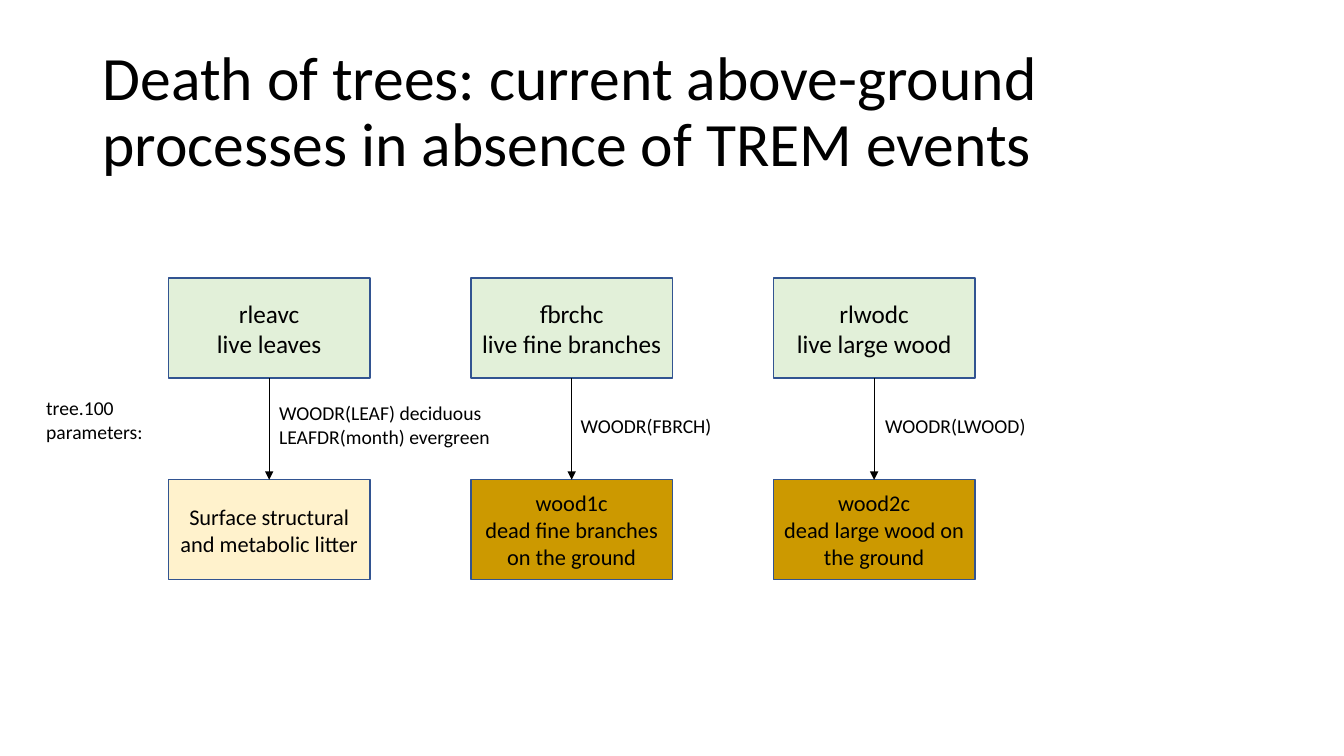
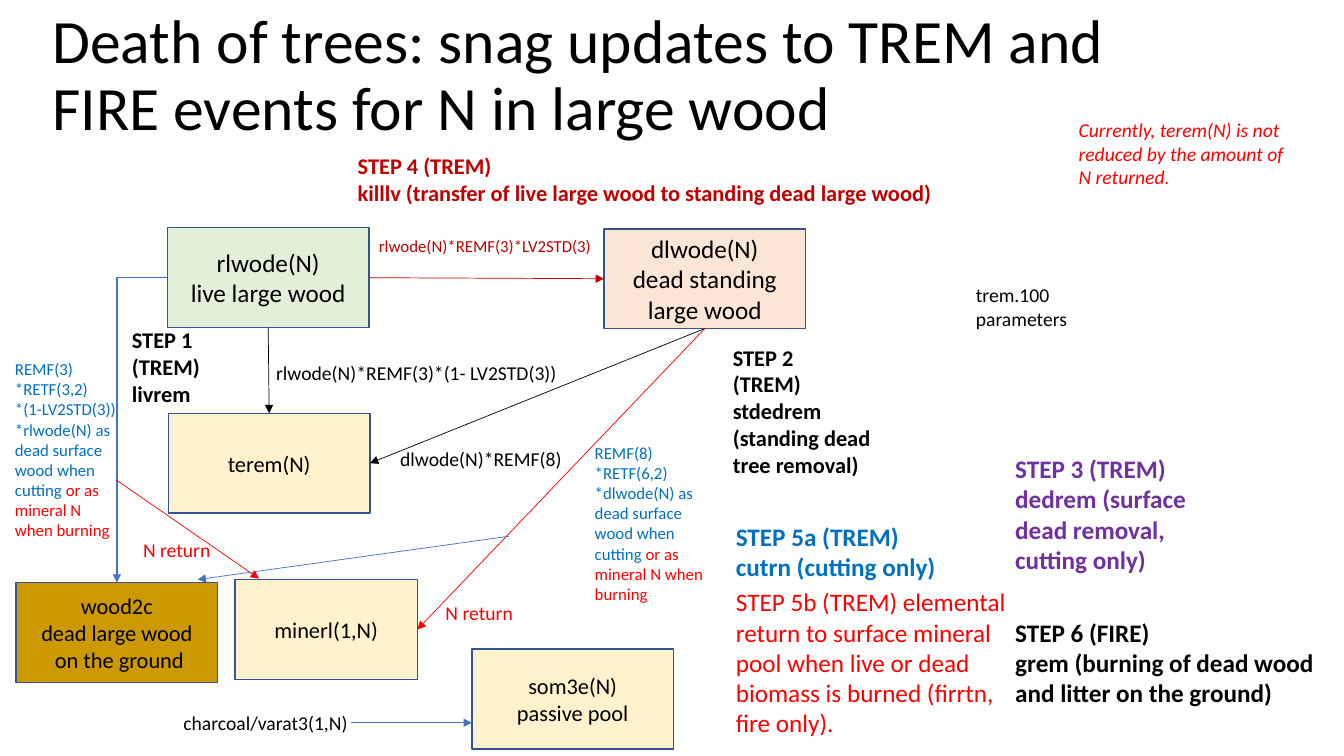
from dataclasses import dataclass
from typing import NamedTuple

from lxml.etree import SubElement
from pptx import Presentation
from pptx.dml.color import RGBColor
from pptx.enum.shapes import MSO_CONNECTOR as CONN, MSO_SHAPE as SHAPE
from pptx.enum.text import MSO_ANCHOR as ANCHOR, MSO_AUTO_SIZE as AUTO, PP_ALIGN as ALIGN
from pptx.oxml.ns import qn
from pptx.shapes.autoshape import Shape
from pptx.slide import Slide
from pptx.text.text import TextFrame
from pptx.util import Inches, Pt


@dataclass(frozen=True)
class Theme:
    font: str = "Calibri"
    black: str = "000000"
    red: str = "FF0000"
    dark_red: str = "C00000"
    blue: str = "0070C0"
    purple: str = "7030A0"
    flow_blue: str = "4472C4"
    outline: str = "325491"
    live: str = "E2F0D9"
    pool: str = "FFF2CC"
    ground: str = "CC9900"
    standing: str = "FBE5D6"
    title: int = 44
    large: int = 18
    medium: int = 16
    normal: int = 14
    small: int = 12


T = Theme()
BOX_W, BOX_H = 2, 0.99
TOP, LEFT, BOTTOM, RIGHT = range(4)


@dataclass(frozen=True)
class Box:
    left: float
    top: float
    text: str
    fill: str
    size: int = T.medium
    width: float = BOX_W


@dataclass(frozen=True)
class Label:
    left: float
    top: float
    width: float
    height: float
    text: str
    size: int = T.normal
    color: str = T.black
    bold: bool = False
    italic: bool = False
    wrap: bool = False
    ending: str = ""


class Point(NamedTuple):
    x: float
    y: float


class Site(NamedTuple):
    box: Shape
    side: int


class Arrow(NamedTuple):
    start: Point | Site
    end: Point | Site
    color: str = T.black
    weight: float = 0.5
    bent: bool = False


class Loss(NamedTuple):
    """One live pool, the dead pool it feeds, and the death rate between them."""
    live: str
    dead: str
    dead_fill: str
    rate: Label


def rgb(color: str) -> RGBColor:
    return RGBColor.from_string(color)


def write(tf: TextFrame, text: str, *, size: int, color: str = T.black, bold: bool = False,
          italic: bool = False, align: ALIGN = ALIGN.LEFT, spacing: float = 1.0,
          ending: str = "", ending_color: str = T.red) -> None:
    """Write one paragraph per line; the ending joins the last one in its own colour."""
    lines = text.split("\n")
    for i, line in enumerate(lines):
        p = tf.paragraphs[0] if i == 0 else tf.add_paragraph()
        p.alignment, p.line_spacing = align, spacing
        parts = [(line, color)]
        if ending and i == len(lines) - 1:
            parts.append((ending, ending_color))
        for part, part_color in parts:
            r = p.add_run()
            r.text = part
            font = r.font
            font.name, font.size = T.font, Pt(size)
            font.bold, font.italic = bold, italic
            font.color.rgb = rgb(part_color)


def add_title(s: Slide, left: float, top: float, text: str) -> None:
    tf = s.shapes.add_textbox(Inches(left), Inches(top), Inches(11.5), Inches(1.45)).text_frame
    tf.word_wrap, tf.vertical_anchor = True, ANCHOR.MIDDLE
    write(tf, text, size=T.title, spacing=0.9)


def add_box(s: Slide, box: Box) -> Shape:
    sp = s.shapes.add_shape(SHAPE.RECTANGLE, Inches(box.left), Inches(box.top),
                            Inches(box.width), Inches(BOX_H))
    sp.shadow.inherit = False
    sp.fill.solid()
    sp.fill.fore_color.rgb = rgb(box.fill)
    sp.line.color.rgb = rgb(T.outline)
    sp.line.width = Pt(1)
    tf = sp.text_frame
    tf.word_wrap, tf.vertical_anchor = True, ANCHOR.MIDDLE
    write(tf, box.text, size=box.size, align=ALIGN.CENTER)
    return sp


def add_label(s: Slide, label: Label) -> None:
    tf = s.shapes.add_textbox(Inches(label.left), Inches(label.top),
                              Inches(label.width), Inches(label.height)).text_frame
    tf.word_wrap, tf.auto_size = label.wrap, AUTO.SHAPE_TO_FIT_TEXT
    write(tf, label.text, size=label.size, color=label.color, bold=label.bold,
          italic=label.italic, ending=label.ending)


def add_arrow(s: Slide, arrow: Arrow) -> None:
    kind = CONN.ELBOW if arrow.bent else CONN.STRAIGHT
    cxn = s.shapes.add_connector(kind, 0, 0, 0, 0)
    if isinstance(arrow.start, Site):
        cxn.begin_connect(*arrow.start)
    else:
        cxn.begin_x, cxn.begin_y = map(Inches, arrow.start)
    if isinstance(arrow.end, Site):
        cxn.end_connect(*arrow.end)
    else:
        cxn.end_x, cxn.end_y = map(Inches, arrow.end)
    cxn.line.color.rgb = rgb(arrow.color)
    cxn.line.width = Pt(arrow.weight)
    props = cxn._element.spPr
    if arrow.bent:
        props.find(qn("a:prstGeom")).set("prst", "bentConnector2")
    SubElement(props.find(qn("a:ln")), qn("a:tailEnd"), type="triangle")
    SubElement(props, qn("a:effectLst"))


def build_current_processes(s: Slide) -> None:
    add_title(s, 0.92, 0.4,
              "Death of trees: current above-ground processes in absence of TREM events")
    losses = [
        Loss("rleavc\nlive leaves", "Surface structural and metabolic litter", T.pool,
             Label(2.67, 3.93, 2.31, 0.57, "WOODR(LEAF) deciduous\nLEAFDR(month) evergreen")),
        Loss("fbrchc\nlive fine branches", "wood1c\ndead fine branches on the ground", T.ground,
             Label(5.66, 4.06, 1.51, 0.34, "WOODR(FBRCH)")),
        Loss("rlwodc\nlive large wood", "wood2c\ndead large wood on the ground", T.ground,
             Label(8.68, 4.06, 1.61, 0.34, "WOODR(LWOOD)")),
    ]
    for i, loss in enumerate(losses):
        left = 1.67 + 3 * i
        live = add_box(s, Box(left, 2.76, loss.live, T.live, T.large))
        dead = add_box(s, Box(left, 4.76, loss.dead, loss.dead_fill))
        add_arrow(s, Arrow(Site(live, BOTTOM), Site(dead, TOP)))
        add_label(s, loss.rate)
    add_label(s, Label(0.36, 3.88, 1.17, 0.57, "tree.100\nparameters:"))


def build_snag_updates(s: Slide) -> None:
    add_title(s, 0.42, 0.04,
              "Death of trees: snag updates to TREM and FIRE events for N in large wood")

    live = add_box(s, Box(1.66, 2.26, "rlwode(N)\nlive large wood", T.live, T.large))
    standing = add_box(s, Box(5.99, 2.27, "dlwode(N)\ndead standing large wood",
                              T.standing, T.large))
    removed = add_box(s, Box(1.67, 4.1, "terem(N)", T.pool))
    mineral = add_box(s, Box(2.33, 5.75, "minerl(1,N)", T.pool, width=1.81))
    ground = add_box(s, Box(0.16, 5.78, "wood2c\ndead large wood\n on the ground", T.ground))
    passive = add_box(s, Box(4.68, 6.44, "som3e(N)\npassive pool", T.pool))

    arrows = [
        Arrow(Site(live, BOTTOM), Site(removed, TOP)),
        Arrow(Site(live, LEFT), Site(ground, TOP), T.flow_blue, 1, bent=True),
        Arrow(Site(live, RIGHT), Site(standing, LEFT), T.dark_red),
        Arrow(Site(standing, BOTTOM), Site(removed, RIGHT)),
        Arrow(Site(standing, BOTTOM), Site(mineral, RIGHT), T.red),
        Arrow(Point(1.15, 4.76), Point(2.57, 5.74), T.red),
        Arrow(Point(5.05, 5.32), Point(1.96, 5.75), T.flow_blue),
        Arrow(Point(3.48, 7.17), Point(4.68, 7.17), T.flow_blue),
    ]
    for arrow in arrows:
        add_arrow(s, arrow)

    burning = "or as mineral N when burning"
    flows = [
        Label(2.64, 3.53, 3.01, 0.34, "rlwode(N)*REMF(3)*(1- LV2STD(3))"),
        Label(3.66, 2.29, 2.33, 0.3, "rlwode(N)*REMF(3)*LV2STD(3)", T.small, T.dark_red),
        Label(3.87, 4.38, 1.82, 0.34, "dlwode(N)*REMF(8)"),
        Label(1.72, 7, 1.85, 0.34, "charcoal/varat3(1,N)"),
        Label(1.32, 5.29, 0.88, 0.34, "N return", color=T.red),
        Label(4.32, 5.91, 0.88, 0.34, "N return", color=T.red),
        Label(0.05, 3.51, 1.27, 1.92,
              "REMF(3)\n*RETF(3,2)\n*(1-LV2STD(3))\n*rlwode(N) as dead surface wood when cutting ",
              T.small, T.blue, wrap=True, ending=burning),
        Label(5.8, 4.34, 1.31, 1.72,
              "REMF(8)\n*RETF(6,2)\n*dlwode(N) as dead surface wood when cutting ",
              T.small, T.blue, wrap=True, ending=burning),
    ]
    steps = [
        Label(1.21, 3.19, 0.88, 0.91, "STEP 1\n(TREM)\nlivrem", T.medium, bold=True),
        Label(7.17, 3.36, 1.59, 1.45, "STEP 2\n(TREM)\nstdedrem (standing dead tree removal)",
              T.medium, bold=True, wrap=True),
        Label(9.97, 4.45, 1.91, 1.31,
              "STEP 3 (TREM)\ndedrem (surface dead removal, cutting only)",
              T.large, T.purple, bold=True, wrap=True),
        Label(3.45, 1.46, 5.96, 0.64,
              "STEP 4 (TREM)\nkilllv (transfer of live large wood to standing dead large wood)",
              T.medium, T.dark_red, bold=True),
        Label(7.2, 5.12, 2.21, 0.71, "STEP 5a (TREM)\ncutrn (cutting only)",
              T.large, T.blue, bold=True),
        Label(7.2, 5.77, 2.91, 1.62,
              "STEP 5b (TREM) elemental return to surface mineral pool when live or dead "
              "biomass is burned (firrtn, fire only).", T.large, T.red, wrap=True),
        Label(9.97, 6.07, 3.19, 1.01,
              "STEP 6 (FIRE)\ngrem (burning of dead wood\nand litter on the ground)",
              T.large, bold=True),
    ]
    notes = [
        Label(9.58, 2.76, 1.12, 0.57, "trem.100\nparameters"),
        Label(10.6, 1.12, 2.3, 0.81,
              "Currently, terem(N) is not reduced by the amount of N returned.",
              color=T.red, italic=True, wrap=True),
    ]
    for label in flows + steps + notes:
        add_label(s, label)


def main() -> None:
    prs = Presentation()
    prs.slide_width, prs.slide_height = Inches(13.33), Inches(7.5)
    blank = prs.slide_layouts[6]
    for build in (build_current_processes, build_snag_updates):
        build(prs.slides.add_slide(blank))
    prs.save("out.pptx")


if __name__ == "__main__":
    main()
